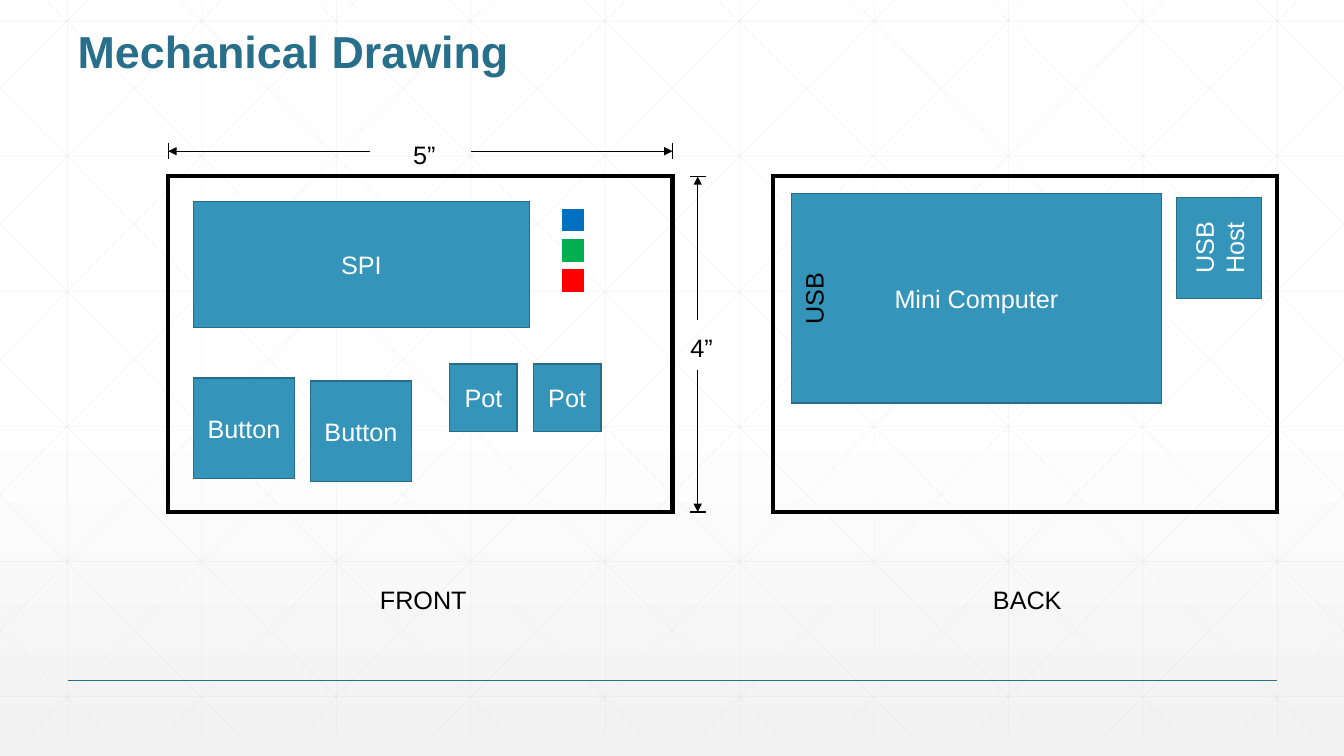
from copy import deepcopy
from lxml import etree
from pptx import Presentation
from pptx.dml.color import RGBColor
from pptx.enum import shapes, text
from pptx.oxml.ns import qn
from pptx.util import Inches, Pt

BLACK = RGBColor(0, 0, 0)
WHITE = RGBColor(255, 255, 255)
PALE = RGBColor(0xF2, 0xF2, 0xF2)
GRAY = RGBColor(0xD9, 0xD9, 0xD9)
TEAL = RGBColor(0x27, 0x6F, 0x8B)
EDGE = RGBColor(0x26, 0x6D, 0x8A)
BLUE = RGBColor(0x34, 0x94, 0xBA)
FONT = "Arial"

# Content: left, top, width, height in inches
TITLE = "Mechanical Drawing"
BOARDS = [(1.67, 1.75, 5, 3.33), (7.67, 1.75, 5, 3.33)]
PARTS = [
    ("Button", 1.92, 3.75, 1, 1),
    ("Button", 3.08, 3.78, 1, 1),
    ("USB Host", 11.67, 1.96, 0.84, 1),
    ("SPI", 1.92, 2, 3.33, 1.25),
    ("Mini Computer", 7.85, 1.92, 3.67, 2.08),
    ("Pot", 4.46, 3.61, 0.67, 0.67),
    ("Pot", 5.29, 3.61, 0.67, 0.67),
]
UPRIGHT = "USB Host"
LEDS = [RGBColor(0, 0x70, 0xC0), RGBColor(0, 0xB0, 0x50), RGBColor(255, 0, 0)]
LABELS = [  # text, left, top, width, rotation
    ("5”", 4, 1.33, 0.43, 0),
    ("4”", 6.75, 3.25, 0.43, 0),
    ("FRONT", 3.67, 5.75, 1.07, 0),
    ("BACK", 9.75, 5.75, 0.89, 0),
    ("USB", 7.71, 2.76, 0.72, 270),
]
ARROWS = [  # the head sits at the first point
    (1.67, 1.5, 3.67, 1.5),
    (6.67, 1.5, 4.67, 1.5),
    (6.92, 1.75, 6.92, 3.17),
    (6.92, 5.08, 6.92, 3.67),
]
TICK = 0.08

# Background grid
WIDE, HIGH = 13.33, 7.5
STEP = 4 / 3
TOP, FOOT = -0.21, 7.29
RUN = 7.45
SLOPE = (FOOT - TOP) / RUN

deck = Presentation()
deck.slide_width, deck.slide_height = Inches(WIDE), Inches(HIGH)
slide = deck.slides.add_slide(deck.slide_layouts[5])


def add_line(x1, y1, x2, y2, color=BLACK, width=1):
    line = slide.shapes.add_connector(
        shapes.MSO_CONNECTOR.STRAIGHT,
        Inches(x1), Inches(y1), Inches(x2), Inches(y2))
    line.line.color.rgb = color
    line.line.width = Pt(width)
    etree.SubElement(line.element.spPr, qn("a:effectLst"))
    return line


def add_grid(*ends):
    line = add_line(*ends, GRAY, 0.5)
    tint = line.element.spPr.find(".//" + qn("a:srgbClr"))
    etree.SubElement(tint, qn("a:alpha")).set("val", "25000")


def add_rect(box, fill, edge, width=1):
    rect = slide.shapes.add_shape(
        shapes.MSO_SHAPE.RECTANGLE, *map(Inches, box))
    rect.shadow.inherit = False
    if fill is None:
        rect.fill.background()
    else:
        rect.fill.solid()
        rect.fill.fore_color.rgb = fill
    rect.line.color.rgb = edge
    rect.line.width = Pt(width)
    outline = rect.element.spPr.find(qn("a:ln"))
    etree.SubElement(outline, qn("a:miter")).set("lim", "800000")
    return rect


def set_text(shape, words, color, size=18, bold=False):
    shape.text_frame.text = words
    font = shape.text_frame.paragraphs[0].runs[0].font
    font.name, font.size, font.bold = FONT, Pt(size), bold
    font.color.rgb = color


# Background gradient, white for the upper half
fill = slide.background.fill
fill.gradient()
fill.gradient_angle = 270
first, last = fill.gradient_stops
first.color.rgb, last.color.rgb = WHITE, PALE
first.position, last.position = 0, 1
stop = slide.element.find(".//" + qn("a:gs"))
middle = deepcopy(stop)
middle.set("pos", "53000")
stop.addnext(middle)

# Grid: uprights, levels, then diagonals clipped to the slide and mirrored
for k in range(10):
    x = 0.67 + k * STEP
    add_grid(x, TOP, x, FOOT)
for k in range(6):
    y = 0.21 + k * 1.34
    add_grid(0, y, WIDE, y)
for k in range(-5, 10):
    start = 0.25 + k * STEP
    x1, x2 = max(start, 0), min(start + RUN, WIDE)
    y1, y2 = (TOP + (x - start) * SLOPE for x in (x1, x2))
    add_grid(x1, y1, x2, y2)
    add_grid(WIDE - x1, y1, WIDE - x2, y2)
add_line(0.67, 6.75, 12.67, 6.75, TEAL)

# Title
title = slide.shapes.title
slide.shapes.element.append(title.element)
title.left, title.top = Inches(0.67), Inches(0.25)
title.width, title.height = Inches(12), Inches(1)
set_text(title, TITLE, TEAL, 32, True)
frame = title.text_frame
frame.auto_size = text.MSO_AUTO_SIZE.NONE
frame.vertical_anchor = text.MSO_ANCHOR.TOP
frame.paragraphs[0].alignment = text.PP_ALIGN.LEFT
frame.paragraphs[0].line_spacing = 0.9

# Boards and their parts
for box in BOARDS:
    add_rect(box, None, BLACK, 3)
for name, *box in PARTS:
    part = add_rect(box, BLUE, EDGE)
    set_text(part, name, WHITE)
    frame = part.text_frame
    frame.word_wrap = True
    frame.vertical_anchor = text.MSO_ANCHOR.MIDDLE
    frame.paragraphs[0].alignment = text.PP_ALIGN.CENTER
    if name == UPRIGHT:
        part.element.txBody.find(qn("a:bodyPr")).set("vert", "vert270")
for k, color in enumerate(LEDS):
    add_rect((5.58, 2.08 + k * 0.3, 0.21, 0.21), color, color)

# Dimension arrows, each with a tick across its head
for x1, y1, x2, y2 in ARROWS:
    arrow = add_line(x1, y1, x2, y2)
    stroke = arrow.element.spPr.find(qn("a:ln"))
    etree.SubElement(stroke, qn("a:headEnd")).set("type", "triangle")
    dx, dy = (0, TICK) if y1 == y2 else (TICK, 0)
    add_line(x1 - dx, y1 - dy, x1 + dx, y1 + dy)

# Labels
for words, x, y, width, turn in LABELS:
    label = slide.shapes.add_textbox(
        Inches(x), Inches(y), Inches(width), Inches(0.4))
    label.rotation = turn
    set_text(label, words, BLACK)
    label.text_frame.word_wrap = False
    label.text_frame.auto_size = text.MSO_AUTO_SIZE.SHAPE_TO_FIT_TEXT

deck.save("out.pptx")
